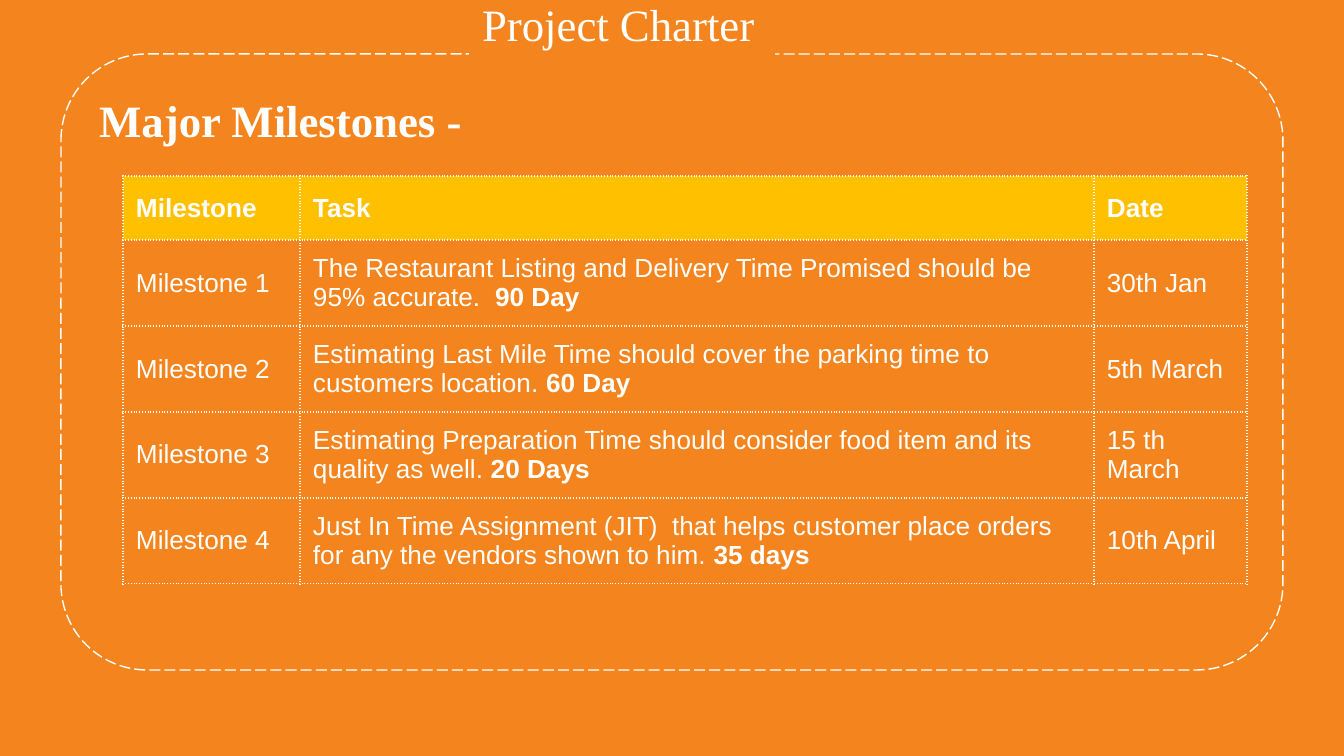
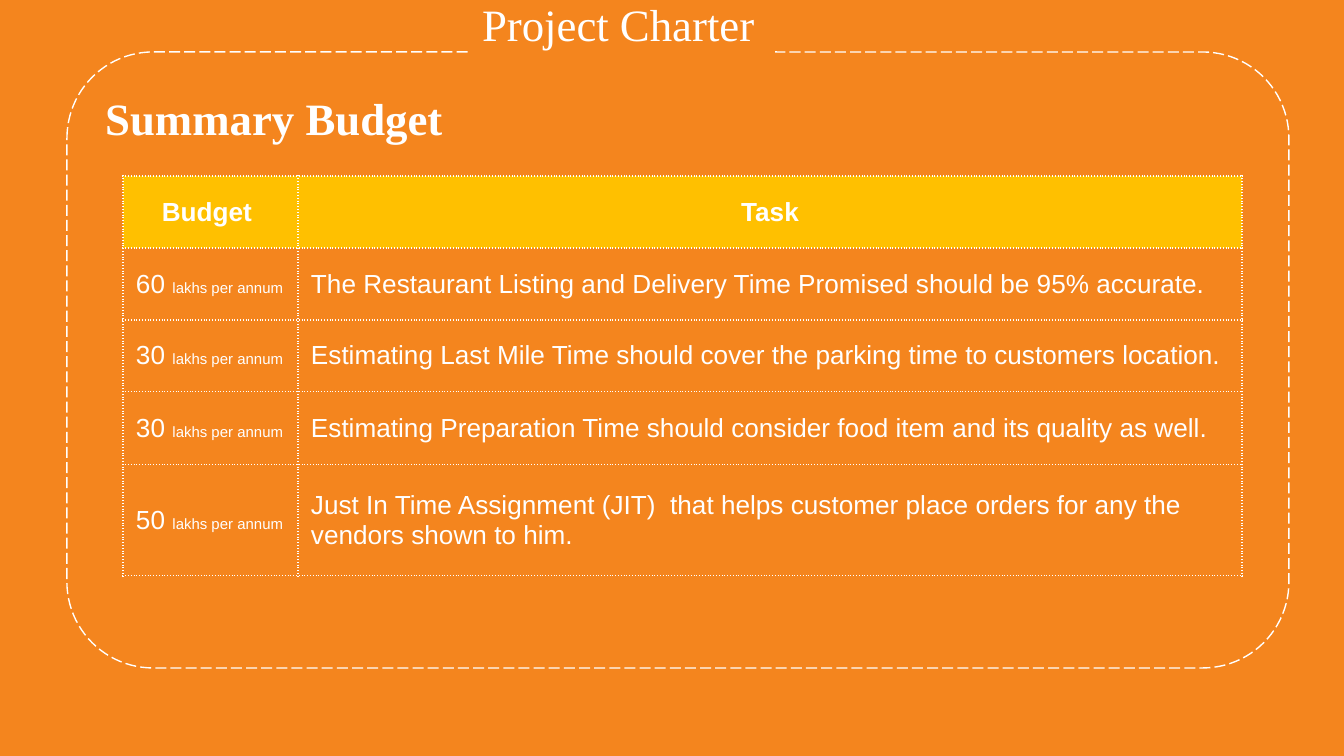
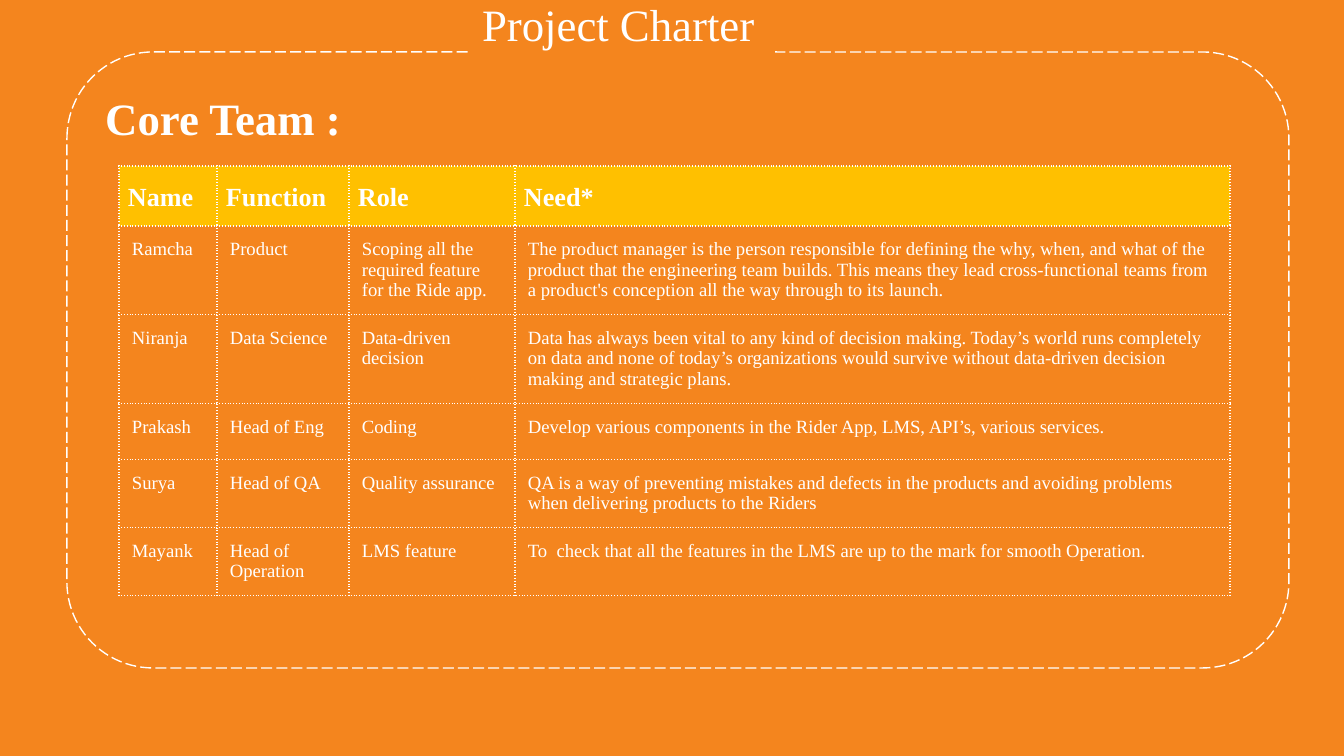
import dataclasses

import lxml.etree
import pptx
import pptx.dml.color
import pptx.enum.dml
import pptx.enum.shapes
import pptx.enum.text
import pptx.oxml.ns
import pptx.util


@dataclasses.dataclass(frozen=True)
class Theme:
    back: str = "F4851E"
    head: str = "FFC000"
    ink: str = "FFFFFF"
    serif: str = "Times New Roman"
    sans: str = "Arial"
    title: int = 24
    body: int = 14
    small: int = 10
    tiny: int = 8
    thin: float = 0.75
    thick: float = 1


theme = Theme()
PX = 914400 / 134.4
PAD = 13
rgb = pptx.dml.color.RGBColor.from_string
kinds = pptx.enum.shapes.MSO_SHAPE
anchors = pptx.enum.text.MSO_ANCHOR
aligns = pptx.enum.text.PP_ALIGN
px = lambda n: pptx.util.Emu(round(n * PX))


def write(frame, text, font, size, bold=False, align=aligns.LEFT, lead=None,
          tail="", last=None):
    frame.word_wrap = True
    lines = text.split("\n")
    for i, line in enumerate(lines):
        para = frame.paragraphs[0] if i == 0 else frame.add_paragraph()
        para.alignment = align
        if lead:
            para.line_spacing = lead
        parts = [(line, size, bold)]
        if tail and i == len(lines) - 1:
            parts.append((tail, last or size, not last))
        for words, points, heavy in parts:
            run = para.add_run()
            run.text = words
            run.font.name = font
            run.font.size = pptx.util.Pt(points)
            run.font.bold = heavy
            run.font.color.rgb = rgb(theme.ink)


def edge(cell, side, width):
    tag = pptx.oxml.ns.qn
    props = cell._tc.get_or_add_tcPr()
    line = lxml.etree.SubElement(props, tag("a:ln" + side),
                                 w=str(pptx.util.Pt(width)))
    fill = lxml.etree.SubElement(line, tag("a:solidFill"))
    lxml.etree.SubElement(fill, tag("a:srgbClr"), val=theme.ink)
    lxml.etree.SubElement(line, tag("a:prstDash"), val="dot")


pages = [
    dict(
        name="Major Milestones -", frame=(61, 54), table=(123, 176),
        cols=[177, 794, 153], rows=[64, 86, 86, 86, 86],
        font=theme.sans, size=theme.body, anchor=anchors.MIDDLE,
        align=aligns.LEFT, lead=None, pad=PAD, rule=theme.thin, last=None,
        cells=[
            ["Milestone", "Task", "Date"],
            ["Milestone 1",
             ("The Restaurant Listing and Delivery Time Promised should be 95% accurate.  ", "90 Day"),
             "30th Jan"],
            ["Milestone 2",
             ("Estimating Last Mile Time should cover the parking time to customers location. ", "60 Day"),
             "5th March"],
            ["Milestone 3",
             ("Estimating Preparation Time should consider food item and its quality as well. ", "20 Days"),
             "15 th March"],
            ["Milestone 4",
             ("Just In Time Assignment (JIT)  that helps customer place orders for any the vendors shown to him. ", "35 days"),
             "10th April"],
        ],
    ),
    dict(
        name="Summary Budget", frame=(67, 52), table=(123, 176),
        cols=[175, 944], rows=[72, 72, 72, 73, 111],
        font=theme.sans, size=theme.body, anchor=anchors.MIDDLE,
        align=aligns.CENTER, lead=None, pad=PAD, rule=theme.thin, last=theme.tiny,
        cells=[
            ["Budget ", "Task"],
            [("60 ", "lakhs per annum"),
             "The Restaurant Listing and Delivery Time Promised should be 95% accurate."],
            [("30 ", "lakhs per annum"),
             "Estimating Last Mile Time should cover the parking time to customers location."],
            [("30 ", "lakhs per annum"),
             "Estimating Preparation Time should consider food item and its quality as well."],
            [("50 ", "lakhs per annum"),
             "Just In Time Assignment (JIT)  that helps customer place orders for any the vendors shown to him."],
        ],
    ),
    dict(
        name="Core Team :", frame=(67, 52), table=(119, 166),
        cols=[98, 132, 166, 715], rows=[60, 89, 89, 56, 68, 68],
        font=theme.serif, size=theme.small, anchor=anchors.TOP,
        align=aligns.LEFT, lead=1.15, pad=9, rule=theme.thick, last=None,
        cells=[
            ["Name", "Function", "Role", "Need*"],
            ["Ramcha", "Product",
             "Scoping all the required feature\nfor the Ride app.",
             "The product manager is the person responsible for defining the why, when, and what of the product that the engineering team builds. This means they lead cross-functional teams from a product's conception all the way through to its launch."],
            ["Niranja", "Data Science", "Data-driven decision",
             "Data has always been vital to any kind of decision making. Today’s world runs completely on data and none of today’s organizations would survive without data-driven decision making and strategic plans."],
            ["Prakash", "Head of Eng", "Coding",
             "Develop various components in the Rider App, LMS, API’s, various services."],
            ["Surya", "Head of QA", "Quality assurance",
             "QA is a way of preventing mistakes and defects in the products and avoiding problems when delivering products to the Riders"],
            ["Mayank", "Head of Operation", "LMS feature",
             "To  check that all the features in the LMS are up to the mark for smooth Operation."],
        ],
    ),
]

deck = pptx.Presentation()
deck.slide_width = px(1344)
deck.slide_height = px(756)

for page in pages:
    slide = deck.slides.add_slide(deck.slide_layouts[6])
    slide.background.fill.solid()
    slide.background.fill.fore_color.rgb = rgb(theme.back)

    panels = [
        (kinds.ROUNDED_RECTANGLE, (*page["frame"], 1222, 616), page["name"], True),
        (kinds.RECTANGLE, (469, -16, 306, 82), "Project Charter", False),
    ]
    for kind, place, text, framed in panels:
        shape = slide.shapes.add_shape(kind, *map(px, place))
        shape.shadow.inherit = False
        shape.fill.solid()
        shape.fill.fore_color.rgb = rgb(theme.back)
        if framed:
            shape.adjustments[0] = 0.14
            shape.line.color.rgb = rgb(theme.ink)
            shape.line.width = pptx.util.Pt(theme.thin)
            shape.line.dash_style = pptx.enum.dml.MSO_LINE.LONG_DASH
        else:
            shape.line.fill.background()
        frame = shape.text_frame
        frame.vertical_anchor = anchors.TOP
        frame.margin_left = frame.margin_right = px(PAD)
        frame.margin_top = frame.margin_bottom = px(PAD)
        write(frame, text, theme.serif, theme.title, bold=framed)

    cols, rows = page["cols"], page["rows"]
    place = (*page["table"], sum(cols), sum(rows))
    grid = slide.shapes.add_table(len(rows), len(cols), *map(px, place)).table
    grid.first_row = grid.horz_banding = False
    for col, width in zip(grid.columns, cols):
        col.width = px(width)
    for r, (row, height) in enumerate(zip(grid.rows, rows)):
        row.height = px(height)
        head = r == 0
        for cell, item in zip(row.cells, page["cells"][r]):
            text, tail = item if isinstance(item, tuple) else (item, "")
            cell.vertical_anchor = page["anchor"]
            cell.margin_left = cell.margin_right = px(page["pad"] if head else PAD)
            cell.margin_top = cell.margin_bottom = px(PAD)
            for side in "LRTB":
                strong = head or (r == 1 and side == "T")
                edge(cell, side, page["rule"] if strong else theme.thin)
            if head:
                cell.fill.solid()
                cell.fill.fore_color.rgb = rgb(theme.head)
                write(cell.text_frame, text, page["font"], theme.body, bold=True,
                      align=page["align"], lead=page["lead"])
            else:
                cell.fill.background()
                write(cell.text_frame, text, page["font"], page["size"],
                      tail=tail, last=page["last"])

deck.save("out.pptx")
